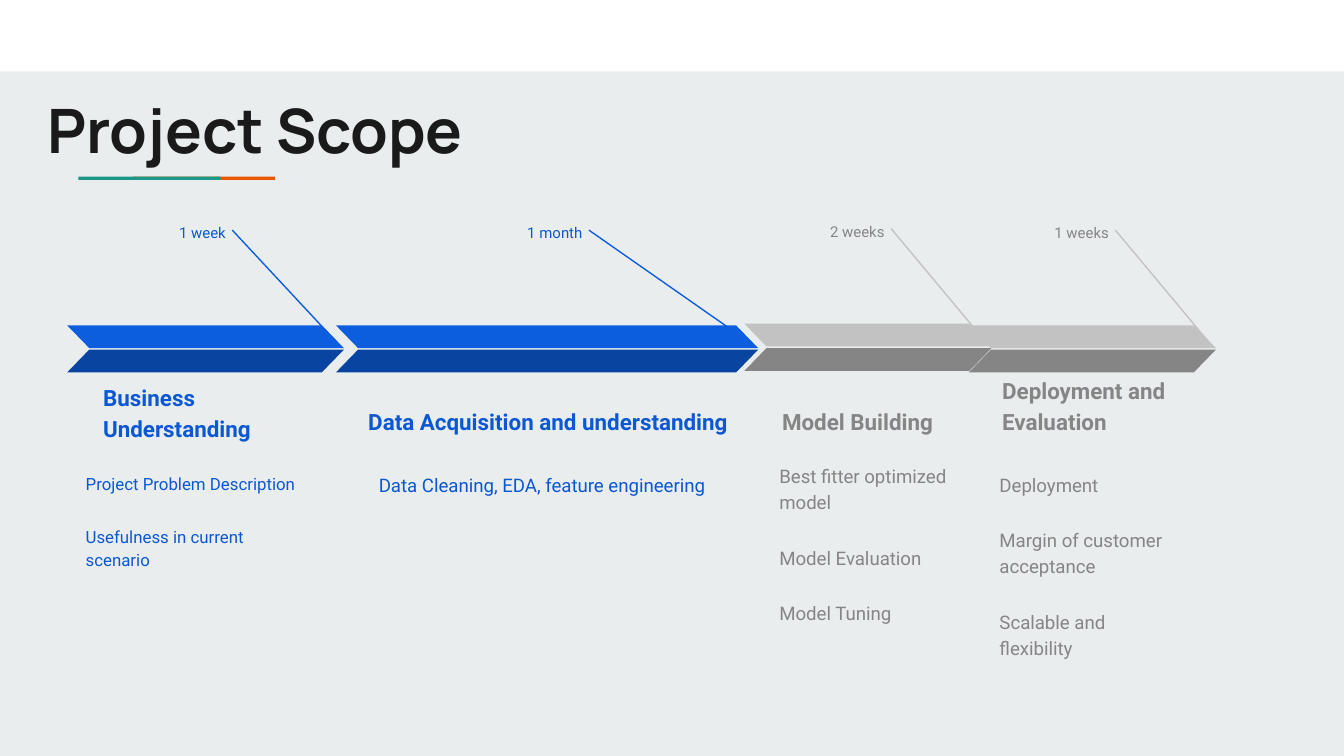
from dataclasses import dataclass

from lxml import etree
from pptx import Presentation
from pptx.dml.color import RGBColor
from pptx.enum import shapes, text
from pptx.oxml import ns
from pptx.util import Cm, Pt

INSET = 0.25
BAR_HEIGHT = 0.43
LOWER_BAR_OFFSET = 0.46


@dataclass(frozen=True)
class Box:
    left: float
    top: float
    width: float
    height: float


@dataclass(frozen=True)
class Palette:
    text: str
    upper_bar: str
    lower_bar: str


@dataclass(frozen=True)
class Stage:
    duration: str
    heading: str
    details: list[str]
    bar: Box
    leader_x: float
    duration_width: float
    heading_box: Box
    details_box: Box
    palette: Palette
    details_size: float = 10


ACTIVE = Palette("0C58D3", "0D5DDF", "0944A1")
UPCOMING = Palette("858585", "C2C2C2", "858585")

STAGES = [
    Stage("1 week", "Business Understanding",
          ["Project Problem Description", "Usefulness in current scenario"],
          Box(1.27, 6.15, 5.23, BAR_HEIGHT), 4.39, 2.29,
          Box(1.7, 7.29, 4.29, 1.32), Box(1.37, 8.64, 4.67, 2.16), ACTIVE, 9),
    Stage("1 month", "Data Acquisition and understanding",
          ["Data Cleaning, EDA, feature engineering"],
          Box(6.35, 6.15, 7.98, BAR_HEIGHT), 11.13, 2.72,
          Box(6.71, 7.16, 7.37, 1.32), Box(6.91, 8.64, 6.73, 2.16), ACTIVE),
    Stage("2 weeks", "Model Building",
          ["Best fitter optimized model", "Model Evaluation", "Model Tuning"],
          Box(14.07, 6.12, 4.67, BAR_HEIGHT), 16.84, 1.57,
          Box(14.53, 7.16, 3.84, 1.32), Box(14.48, 8.48, 3.84, 1.9), UPCOMING),
    Stage("1 weeks", "Deployment and Evaluation",
          ["Deployment", "Margin of customer acceptance", "Scalable and flexibility"],
          Box(18.31, 6.15, 4.67, BAR_HEIGHT), 21.08, 2.03,
          Box(18.69, 7.16, 3.84, 1.32), Box(18.64, 8.64, 3.94, 2.16), UPCOMING),
]


def color(hex_value: str) -> RGBColor:
    return RGBColor.from_string(hex_value)


def place(box: Box) -> tuple[Cm, Cm, Cm, Cm]:
    return Cm(box.left), Cm(box.top), Cm(box.width), Cm(box.height)


def add_block(slide, box: Box, fill: str, kind=shapes.MSO_SHAPE.RECTANGLE):
    block = slide.shapes.add_shape(kind, *place(box))
    block.shadow.inherit = False
    block.fill.solid()
    block.fill.fore_color.rgb = color(fill)
    block.line.fill.background()
    return block


def add_text(slide, box: Box, lines: list[str], size: float, hue: str,
             font: str = "Roboto", bold: bool = False, spacing: float = 1.15,
             gap: float = 0, align=text.PP_ALIGN.LEFT,
             anchor=text.MSO_ANCHOR.TOP) -> None:
    frame = slide.shapes.add_textbox(*place(box)).text_frame
    frame.word_wrap = True
    frame.vertical_anchor = anchor
    frame.margin_left = frame.margin_right = Cm(INSET)
    frame.margin_top = frame.margin_bottom = Cm(INSET)
    frame.text = "\n".join(lines)
    for index, paragraph in enumerate(frame.paragraphs):
        paragraph.alignment = align
        paragraph.line_spacing = spacing
        paragraph.space_before = Pt(gap if index else 0)
        for run in paragraph.runs:
            run.font.name = font
            run.font.size = Pt(size)
            run.font.bold = bold
            run.font.color.rgb = color(hue)


def add_leader(slide, stage: Stage) -> None:
    """Draw the slanted line from the duration to the tip of the stage bar."""
    bar = stage.bar
    leader = slide.shapes.add_connector(
        shapes.MSO_CONNECTOR.STRAIGHT,
        Cm(stage.leader_x), Cm(bar.top - 1.8),
        Cm(bar.left + bar.width - 0.08), Cm(bar.top + 0.38))
    leader.line.color.rgb = color(stage.palette.upper_bar)
    leader.line.width = Pt(0.75)
    etree.SubElement(leader.element.spPr, ns.qn("a:effectLst"))


def add_chevron(slide, stage: Stage) -> None:
    """Build the arrow band from two mirrored parallelograms."""
    bar = stage.bar
    lower_bar = Box(bar.left, bar.top + LOWER_BAR_OFFSET, bar.width, bar.height)
    kind = shapes.MSO_SHAPE.PARALLELOGRAM
    upper = add_block(slide, bar, stage.palette.upper_bar, kind)
    upper.element.spPr.xfrm.set("flipH", "1")
    lower = add_block(slide, lower_bar, stage.palette.lower_bar, kind)
    for half in (upper, lower):
        half.adjustments[0] = 0.97


def add_stage(slide, stage: Stage) -> None:
    hue = stage.palette.text
    duration_right = stage.leader_x + 0.13
    duration_box = Box(duration_right - stage.duration_width,
                       stage.bar.top - 2.16, stage.duration_width, 0.71)
    add_text(slide, duration_box, [stage.duration], 8, hue,
             align=text.PP_ALIGN.RIGHT)
    add_text(slide, stage.heading_box, [stage.heading], 12, hue, bold=True,
             anchor=text.MSO_ANCHOR.BOTTOM)
    add_text(slide, stage.details_box, stage.details, stage.details_size, hue,
             gap=16)
    add_leader(slide, stage)
    add_chevron(slide, stage)


def main() -> None:
    deck = Presentation()
    deck.slide_width, deck.slide_height = Cm(25.4), Cm(14.29)
    slide = deck.slides.add_slide(deck.slide_layouts[6])
    slide.background.fill.solid()
    slide.background.fill.fore_color.rgb = color("E9EDEE")

    add_block(slide, Box(0, 0, 25.4, 1.35), "FFFFFF")
    for left, fill in ((2.51, "EB5600"), (1.48, "1A9988")):
        add_block(slide, Box(left, 3.34, 2.69, 0.06), fill)
    add_text(slide, Box(0.64, 1.5, 14.48, 1.5), ["Project Scope"], 32.8,
             "1A1A1A", font="Manrope", bold=True, spacing=1.0)
    for stage in STAGES:
        add_stage(slide, stage)
    deck.save("out.pptx")


if __name__ == "__main__":
    main()
